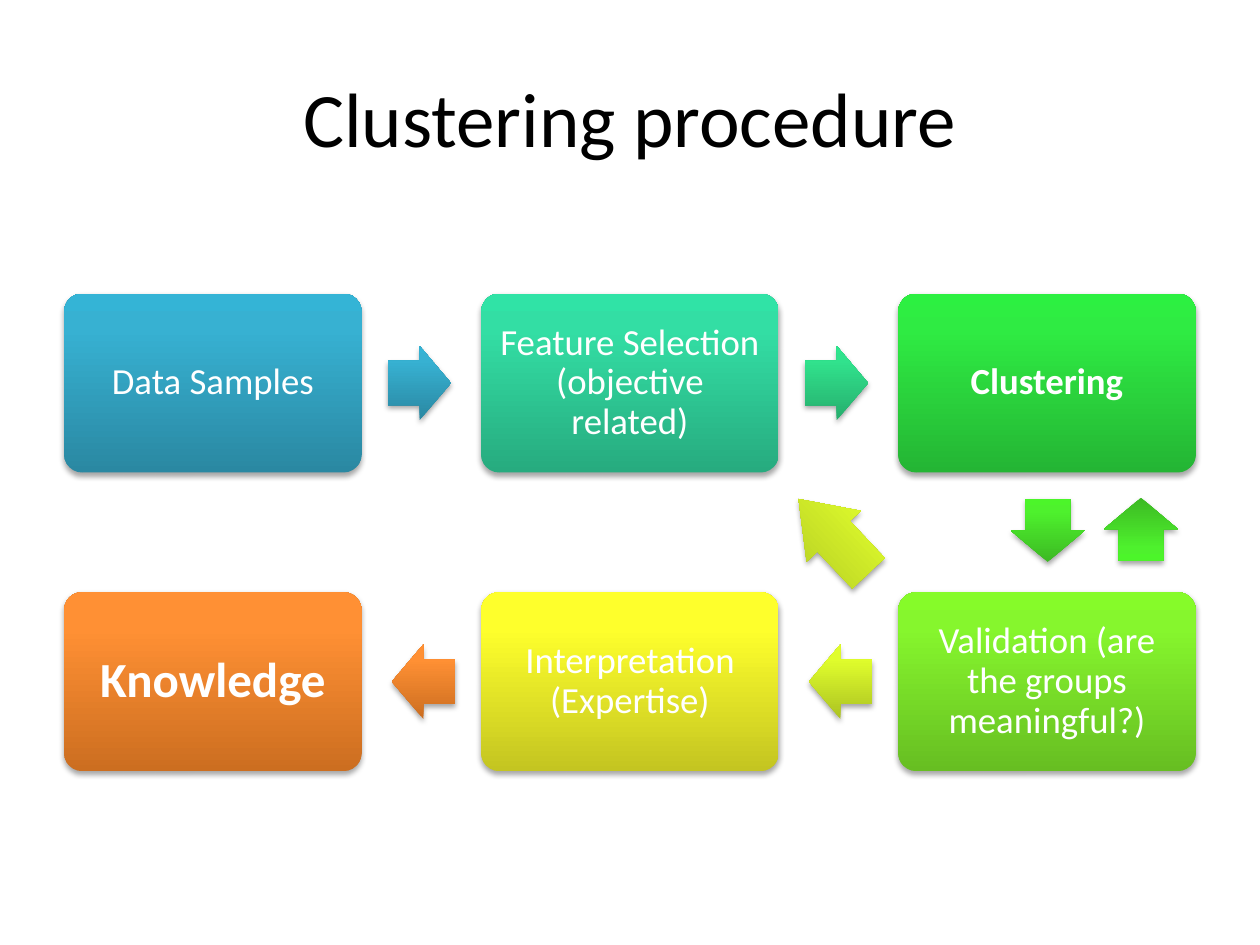
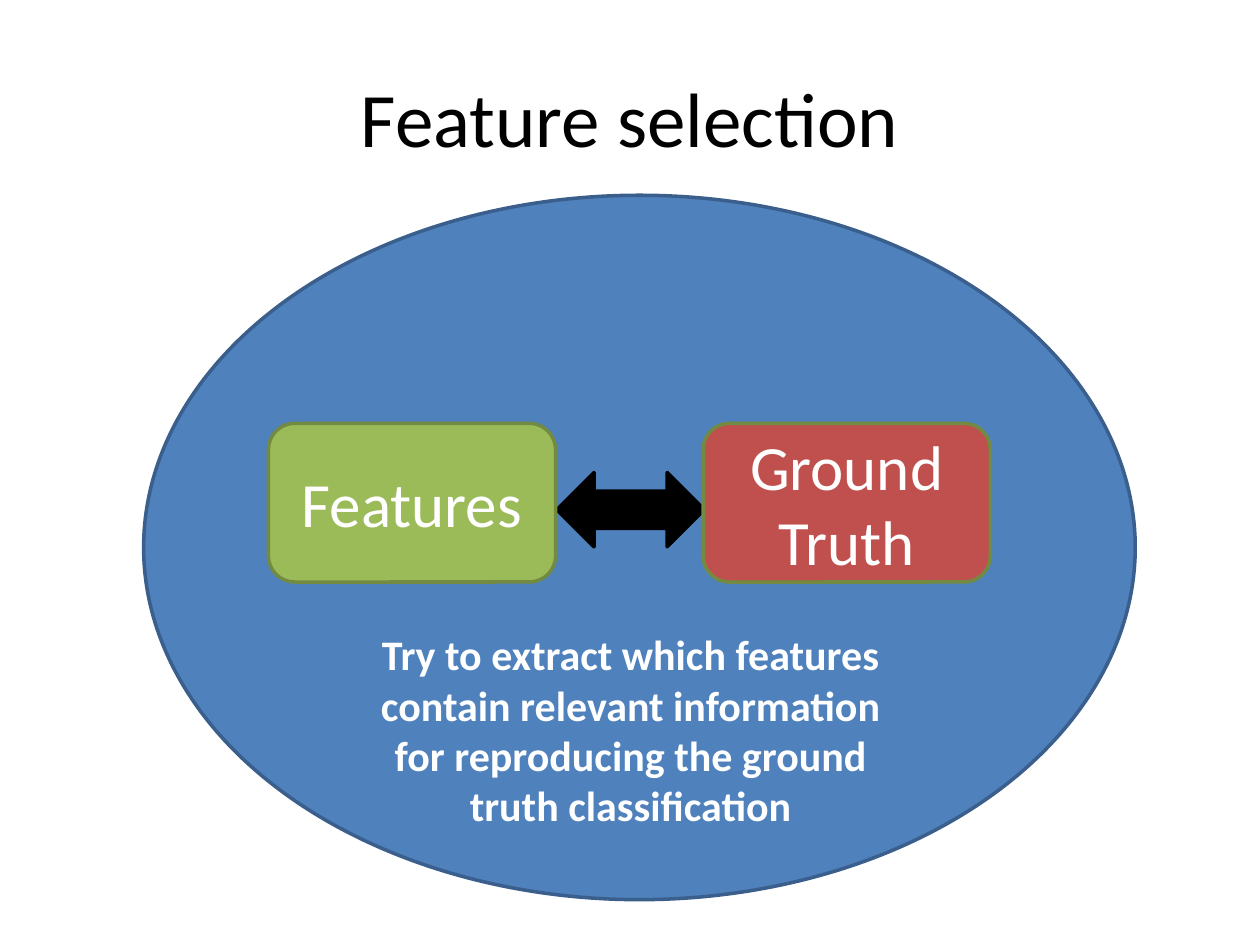
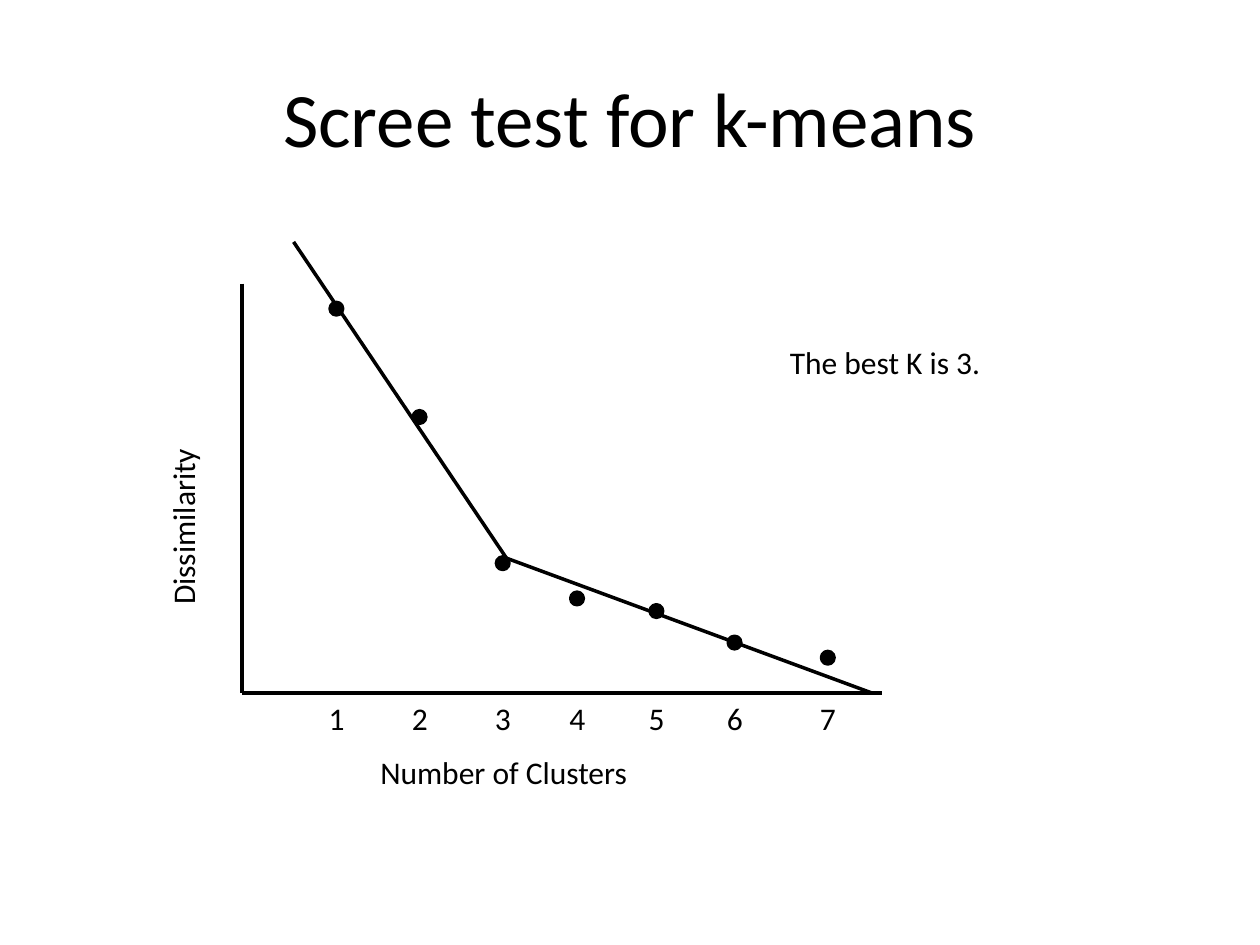
from copy import deepcopy

from lxml import etree
from pptx import Presentation
from pptx.dml.color import RGBColor
from pptx.enum.shapes import MSO_CONNECTOR, MSO_SHAPE
from pptx.enum.text import MSO_ANCHOR, PP_ALIGN
from pptx.oxml.ns import qn
from pptx.util import Inches, Pt

ROUNDED, OVAL = MSO_SHAPE.ROUNDED_RECTANGLE, MSO_SHAPE.OVAL
RIGHT, LEFT, DOWN = MSO_SHAPE.RIGHT_ARROW, MSO_SHAPE.LEFT_ARROW, MSO_SHAPE.DOWN_ARROW
BOTH_WAYS = MSO_SHAPE.LEFT_RIGHT_ARROW
STRAIGHT = MSO_CONNECTOR.STRAIGHT
CENTER, START = PP_ALIGN.CENTER, PP_ALIGN.LEFT
MIDDLE, TOP = MSO_ANCHOR.MIDDLE, MSO_ANCHOR.TOP

FONT = "Calibri"
BLACK = RGBColor(0x00, 0x00, 0x00)
WHITE = RGBColor(0xFF, 0xFF, 0xFF)
BLUE = RGBColor(0x4F, 0x81, 0xBD)
BLUE_EDGE = RGBColor(0x3A, 0x5F, 0x8C)
GREEN = RGBColor(0x9B, 0xBB, 0x59)
GREEN_EDGE = RGBColor(0x73, 0x8A, 0x42)
RED = RGBColor(0xC0, 0x50, 0x4D)

# Gradients run from the dark bottom to the light top.
STOPS = (0, 0.8, 1)
SKY = (RGBColor(0x2A, 0x88, 0xA2), RGBColor(0x37, 0xB1, 0xD2), RGBColor(0x34, 0xB4, 0xD6))
TEAL = (RGBColor(0x27, 0xAB, 0x7F), RGBColor(0x33, 0xDE, 0xA4), RGBColor(0x30, 0xE3, 0xA6))
MINT = (RGBColor(0x26, 0xAE, 0x6D), RGBColor(0x31, 0xE2, 0x8D), RGBColor(0x2E, 0xE6, 0x8E))
EMERALD = (RGBColor(0x24, 0xB5, 0x34), RGBColor(0x2F, 0xEB, 0x43), RGBColor(0x2C, 0xF0, 0x41))
LEAF = (RGBColor(0x3C, 0xB9, 0x23), RGBColor(0x4E, 0xF1, 0x2D), RGBColor(0x4C, 0xF5, 0x2A))
LIME = (RGBColor(0x67, 0xBE, 0x22), RGBColor(0x86, 0xF6, 0x2D), RGBColor(0x86, 0xFB, 0x29))
CITRUS = (RGBColor(0xAC, 0xC3, 0x22), RGBColor(0xE0, 0xFD, 0x2C), RGBColor(0xE2, 0xFF, 0x2B))
YELLOW = (RGBColor(0xC4, 0xC5, 0x21), RGBColor(0xFE, 0xFF, 0x2C), RGBColor(0xFE, 0xFF, 0x2E))
ORANGE = (RGBColor(0xCC, 0x6E, 0x20), RGBColor(0xFF, 0x90, 0x34), RGBColor(0xFF, 0x91, 0x36))


def add_figure(slide, preset, place, fill, edge=None):
    """Add a flat shape with an edge, or a shadowed one if fill is a gradient."""
    shape = slide.shapes.add_shape(preset, *map(Inches, place))
    shape.shadow.inherit = False
    if edge is not None:
        shape.fill.solid()
        shape.fill.fore_color.rgb = fill
        shape.line.color.rgb = edge
        shape.line.width = Pt(2)
        return shape
    shape.line.fill.background()
    shape.fill.gradient()
    shape.fill.gradient_angle = 90
    properties = shape._element.spPr
    stop_list = properties.find(".//" + qn("a:gsLst"))
    stop_list.append(deepcopy(stop_list[-1]))
    for stop, position, color in zip(shape.fill.gradient_stops, STOPS, fill):
        stop.position = position
        stop.color.rgb = color
    shadow = etree.SubElement(properties.find(qn("a:effectLst")), qn("a:outerShdw"),
                              blurRad=str(Pt(3.1)), dist=str(Pt(1.8)),
                              dir="5400000", rotWithShape="0")
    shade = etree.SubElement(shadow, qn("a:srgbClr"), val=str(BLACK))
    etree.SubElement(shade, qn("a:alpha"), val="35000")
    return shape


def write(shape, text, size, color=BLACK, bold=False, align=CENTER, anchor=MIDDLE):
    frame = shape.text_frame
    frame.word_wrap = True
    frame.vertical_anchor = anchor
    para = frame.paragraphs[0]
    para.alignment = align
    span = para.add_run()
    span.text = text
    span.font.name = FONT
    span.font.size = Pt(size)
    span.font.bold = bold
    span.font.color.rgb = color
    return frame


deck = Presentation()
deck.slide_width, deck.slide_height = Inches(10), Inches(7.5)
pages = []
for title in ("Clustering procedure", "Feature selection", "Scree test for k-means"):
    page = deck.slides.add_slide(deck.slide_layouts[6])
    write(page.shapes.add_textbox(*map(Inches, (0.5, 0.3, 9, 1.25))), title, 44)
    pages.append(page)
procedure, selection, scree = pages

# Clustering procedure: stages on a grid of three columns and two rows
STAGE_WIDTH, STAGE_HEIGHT = 2.36, 1.42
COLUMNS = [0.51 + 3.31 * column for column in range(3)]
ROWS = [2.33, 4.7]
ARROW_LENGTH, ARROW_SPAN = 0.5, 0.59

stages = [
    (0, 0, "Data Samples", SKY, 21, False),
    (1, 0, "Feature Selection (objective related)", TEAL, 21, False),
    (2, 0, "Clustering", EMERALD, 21, True),
    (2, 1, "Validation (are the groups meaningful?)", LIME, 21, False),
    (1, 1, "Interpretation (Expertise)", YELLOW, 21, False),
    (0, 1, "Knowledge", ORANGE, 28, True),
]
for column, row, text, gradient, size, bold in stages:
    stage = add_figure(procedure, ROUNDED,
                       (COLUMNS[column], ROWS[row], STAGE_WIDTH, STAGE_HEIGHT), gradient)
    stage.adjustments[0] = 0.1
    frame = write(stage, text, size, WHITE, bold)
    frame.paragraphs[0].line_spacing = 0.9
    frame.margin_left = frame.margin_right = Inches(0.09)
    frame.margin_top = frame.margin_bottom = Inches(0.09)

arrows = []
for preset, row, gap, gradients in ((RIGHT, 0, 0.21, (SKY, MINT)),
                                    (LEFT, 1, 0.24, (ORANGE, CITRUS))):
    top = ROWS[row] + (STAGE_HEIGHT - ARROW_SPAN) / 2
    for left, gradient in zip(COLUMNS, gradients):
        place = (left + STAGE_WIDTH + gap, top, ARROW_LENGTH, ARROW_SPAN)
        arrows.append((preset, place, gradient, 0, 0.5))
arrows += [
    (DOWN, (8.02, 3.96, ARROW_SPAN, ARROW_LENGTH), LEAF, 0, 0.5),
    (DOWN, (8.76, 3.95, ARROW_SPAN, ARROW_LENGTH), LEAF, 180, 0.5),
    (LEFT, (6.21, 3.96, 0.81, ARROW_SPAN), CITRUS, 46.7, 0.69),
]
for preset, place, gradient, turn, head in arrows:
    arrow = add_figure(procedure, preset, place, gradient)
    arrow.rotation = turn
    arrow.adjustments[0], arrow.adjustments[1] = 0.6, head

# Feature selection
add_figure(selection, OVAL, (1.14, 1.55, 7.87, 5.59), BLUE, BLUE_EDGE)
write(selection.shapes.add_textbox(*map(Inches, (2.76, 4.93, 4.49, 1.72))),
      "Try to extract which features contain relevant information "
      "for reproducing the ground truth classification", 24, WHITE, True)
add_figure(selection, BOTH_WAYS, (4.42, 3.75, 1.17, 0.59), BLACK, BLACK)
for left, text, color in ((2.13, "Features", GREEN), (5.58, "Ground Truth", RED)):
    box = add_figure(selection, ROUNDED, (left, 3.36, 2.28, 1.26), color, GREEN_EDGE)
    write(box, text, 36, WHITE)

# Scree test: axes, fitted lines, points and labels
ORIGIN_X, ORIGIN_Y = 1.92, 5.5
ELBOW = (4.02, 4.43)
DOT = 0.1
lines = [
    ((ORIGIN_X, 2.25), (ORIGIN_X, ORIGIN_Y)),
    ((ORIGIN_X, ORIGIN_Y), (7, ORIGIN_Y)),
    ((2.33, 1.92), ELBOW),
    (ELBOW, (6.92, ORIGIN_Y)),
]
for begin, end in lines:
    line = scree.shapes.add_connector(STRAIGHT, *map(Inches, begin + end))
    line.line.color.rgb = BLACK
    line.line.width = Pt(2)
    etree.SubElement(line._element.spPr, qn("a:effectLst"))

labels = [
    ("Number of Clusters", (2.92, 5.93, 2.46, 0.4)),
    ("The best K is 3.", (6.17, 2.67, 1.86, 0.4)),
]
points = [(2.67, 2.45), (3.33, 3.31), (3.99, 4.47), (4.58, 4.75),
          (5.21, 4.85), (5.83, 5.1), (6.57, 5.22)]
for clusters, (x, y) in enumerate(points, start=1):
    add_figure(scree, OVAL, (x - DOT / 2, y - DOT / 2, DOT, DOT), BLACK, BLACK)
    labels.append((str(clusters), (x - 0.16, ORIGIN_Y, 0.33, 0.4)))
for text, place in labels:
    label = scree.shapes.add_textbox(*map(Inches, place))
    write(label, text, 18, align=START, anchor=TOP)

axis_title = scree.shapes.add_textbox(*map(Inches, (1.25, 3.25, 0.5, 1.65)))
frame = write(axis_title, "Dissimilarity", 18, align=START, anchor=TOP)
frame._txBody.bodyPr.set("vert", "vert270")

deck.save("out.pptx")
